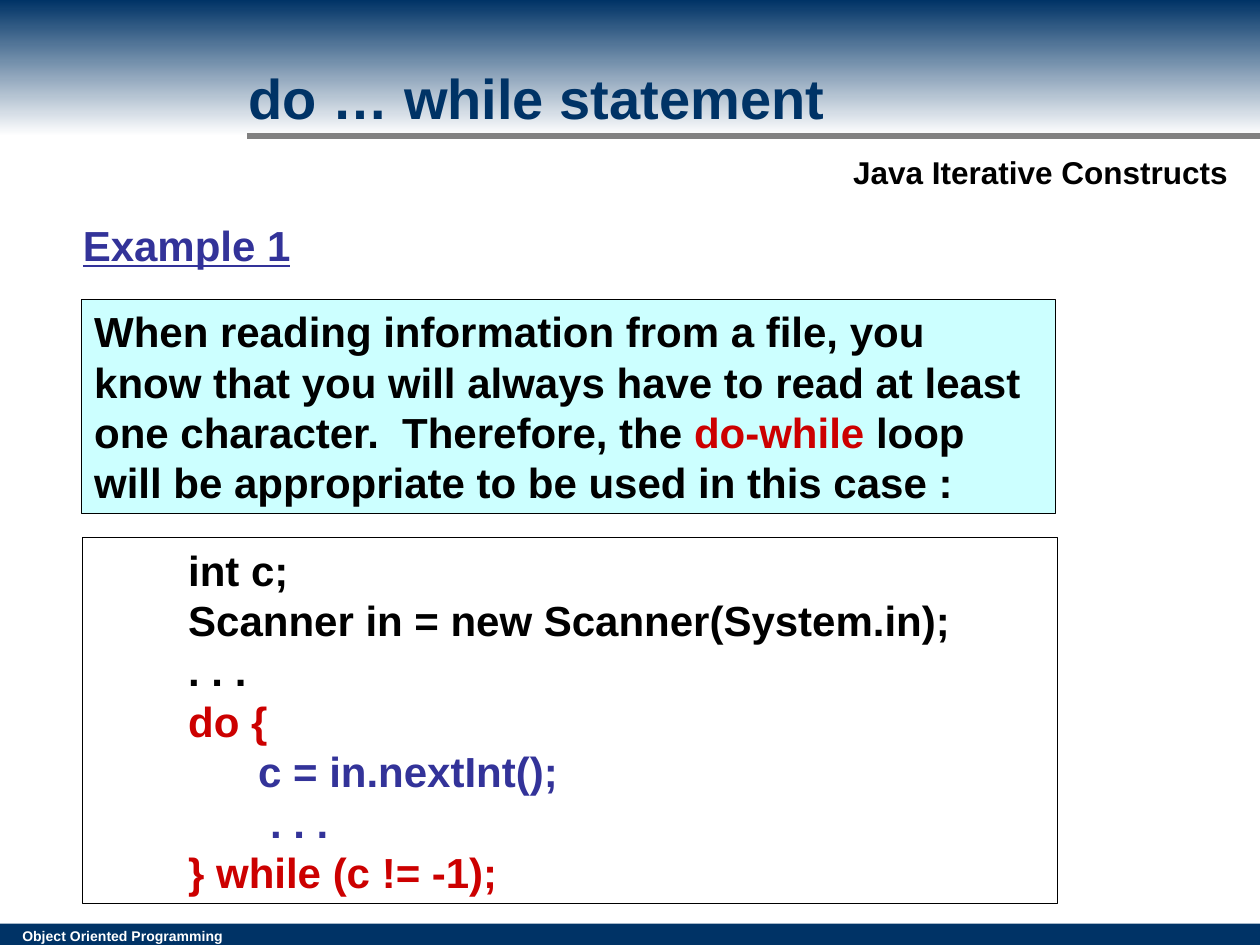
from dataclasses import dataclass

from lxml.etree import SubElement
from pptx import Presentation
from pptx.dml.color import RGBColor
from pptx.enum.shapes import MSO_CONNECTOR, MSO_SHAPE
from pptx.enum.text import MSO_ANCHOR, MSO_AUTO_SIZE, PP_ALIGN
from pptx.oxml.ns import qn
from pptx.util import Cm, Pt

NAVY = RGBColor(0x00, 0x33, 0x66)
WHITE = RGBColor(0xFF, 0xFF, 0xFF)
BLACK = RGBColor(0x00, 0x00, 0x00)
GRAY = RGBColor(0x80, 0x80, 0x80)
RED = RGBColor(0xCC, 0x00, 0x00)
INDIGO = RGBColor(0x33, 0x33, 0x99)
PALE_CYAN = RGBColor(0xCC, 0xFF, 0xFF)

FONT = "Arial"
SLIDE_W, SLIDE_H = 25.4, 19.05
HEADER_H = 2.74


@dataclass
class Box:
    left: float
    top: float
    width: float
    height: float

    def lengths(self) -> tuple:
        return Cm(self.left), Cm(self.top), Cm(self.width), Cm(self.height)


@dataclass
class Run:
    text: str
    color: RGBColor = BLACK


@dataclass
class Line:
    runs: list[Run]
    indent: float = 0


@dataclass
class Label:
    box: Box
    run: Run
    size: int
    wrap: bool = True
    underline: bool = False


FOOTER = Label(Box(0.2, 18.58, 4.78, 0.61),
               Run("Object Oriented Programming", WHITE), 8)
TOPIC = Label(Box(16.95, 2.96, 8.05, 1.02),
              Run("Java Iterative Constructs"), 18, wrap=False)
EXAMPLE = Label(Box(1.42, 4.3, 5.08, 1.27),
                Run("Example 1", INDIGO), 24, underline=True)

TITLE_BOX = Box(4.76, 1.15, 13, 1.63)
INTRO_BOX = Box(1.65, 6.04, 19.63, 4.32)
CODE_BOX = Box(1.66, 10.84, 19.66, 7.37)

INTRO = Line([
    Run("When reading information from a file, you know that you will always "
        "have to read at least one character.  Therefore, the "),
    Run("do-while", RED),
    Run(" loop will be appropriate to be used in this case :"),
])
CODE = [
    Line([Run("int c;")], 1.88),
    Line([Run("Scanner in = new Scanner(System.in);")], 1.88),
    Line([Run(". . .")], 1.88),
    Line([Run("do {", RED)], 1.88),
    Line([Run("c = in.nextInt();", INDIGO)], 3.29),
    Line([Run(". . .", INDIGO)], 3.53),
    Line([Run("} while (c != -1);", RED)], 1.88),
]


def write(sp, lines: list[Line], size: int, wrap: bool = True,
          underline: bool = False) -> None:
    tf = sp.text_frame
    frame_format = {"auto_size": MSO_AUTO_SIZE.NONE, "word_wrap": wrap,
                    "vertical_anchor": MSO_ANCHOR.TOP}
    for name, value in frame_format.items():
        setattr(tf, name, value)
    for i, line in enumerate(lines):
        p = tf.paragraphs[0] if i == 0 else tf.add_paragraph()
        p.alignment = PP_ALIGN.LEFT
        p.space_before = Pt(0)
        pPr = p._p.get_or_add_pPr()
        pPr.set("marL", str(Cm(line.indent)))
        pPr.set("indent", "0")
        SubElement(pPr, qn("a:buNone"))
        for run in line.runs:
            r = p.add_run()
            r.text = run.text
            font_format = {"name": FONT, "size": Pt(size), "bold": True,
                           "underline": underline}
            for name, value in font_format.items():
                setattr(r.font, name, value)
            r.font.color.rgb = run.color


def add_label(slide, label: Label) -> None:
    sp = slide.shapes.add_textbox(*label.box.lengths())
    write(sp, [Line([label.run])], label.size, label.wrap, label.underline)


def add_rect(slide, box: Box, fill: RGBColor):
    sp = slide.shapes.add_shape(MSO_SHAPE.RECTANGLE, *box.lengths())
    sp.shadow.inherit = False
    sp.fill.solid()
    sp.fill.fore_color.rgb = fill
    sp.line.fill.background()
    return sp


def outline(sp) -> None:
    sp.line.color.rgb = BLACK
    sp.line.width = Pt(0.75)


def place(sp, box: Box) -> None:
    """Position a placeholder and bring it to the front."""
    sp.left, sp.top, sp.width, sp.height = box.lengths()
    sp._element.getparent().append(sp._element)


def add_frame(slide) -> None:
    """Draw the footer bar, the fading header and its rule."""
    add_rect(slide, Box(0, 18.62, SLIDE_W, SLIDE_H - 18.62), NAVY)
    add_label(slide, FOOTER)

    fill = add_rect(slide, Box(0, 0, SLIDE_W, HEADER_H), NAVY).fill
    fill.gradient()
    fill.gradient_angle = 270
    for stop, position, color in zip(fill.gradient_stops, (0, 1), (NAVY, WHITE)):
        stop.position = position
        stop.color.rgb = color

    rule = slide.shapes.add_connector(MSO_CONNECTOR.STRAIGHT, Cm(4.98),
                                      Cm(HEADER_H), Cm(SLIDE_W), Cm(HEADER_H))
    rule.line.color.rgb = GRAY
    rule.line.width = Pt(3)
    SubElement(rule._element.spPr, qn("a:effectLst"))
    add_label(slide, TOPIC)


def main() -> None:
    prs = Presentation()
    prs.slide_width, prs.slide_height = Cm(SLIDE_W), Cm(SLIDE_H)
    slide = prs.slides.add_slide(prs.slide_layouts[1])
    title, code = slide.shapes.title, slide.placeholders[1]

    add_frame(slide)
    place(title, TITLE_BOX)
    write(title, [Line([Run("do … while statement", NAVY)])], 32)
    place(code, CODE_BOX)
    outline(code)
    write(code, CODE, 24)
    add_label(slide, EXAMPLE)
    intro = add_rect(slide, INTRO_BOX, PALE_CYAN)
    outline(intro)
    write(intro, [INTRO], 24)

    prs.save("out.pptx")


if __name__ == "__main__":
    main()
